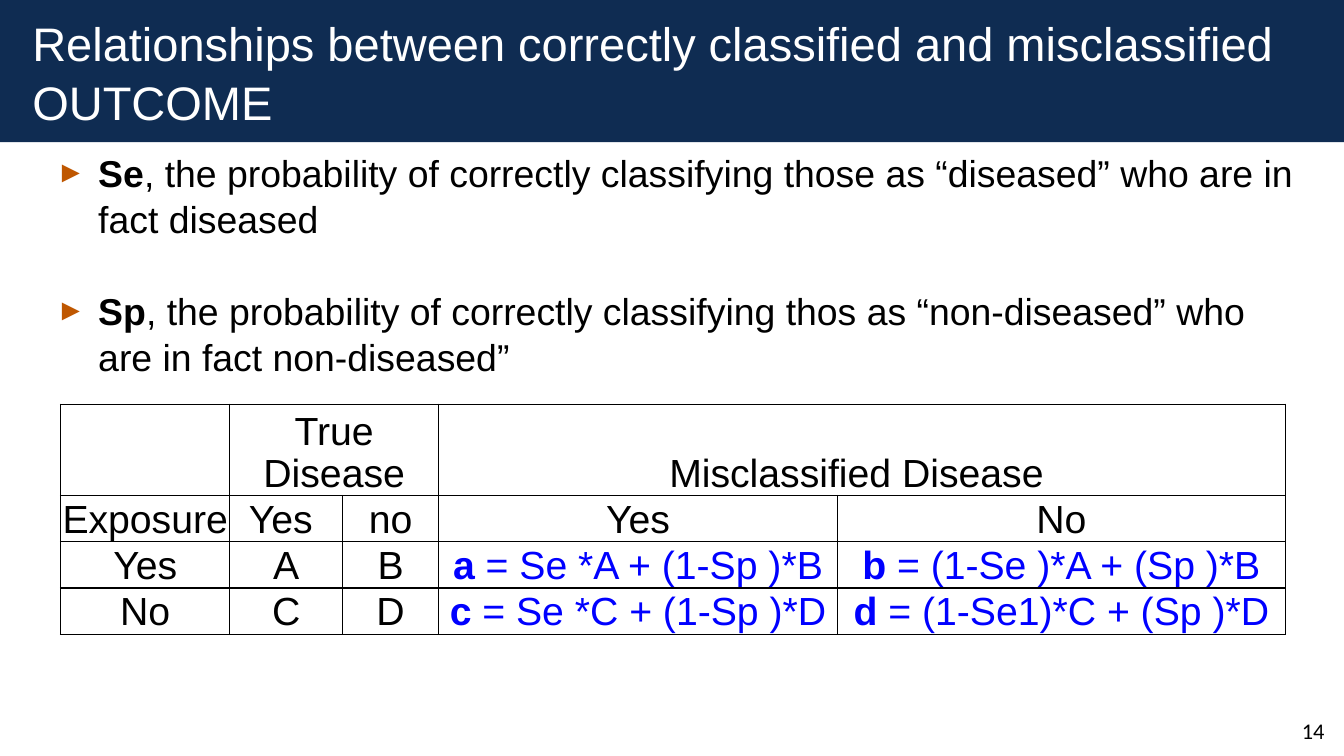
import pptx
import pptx.dml.color
import pptx.enum.shapes
import pptx.enum.text
import pptx.oxml
import pptx.oxml.ns
import pptx.util
from lxml import etree

Pt = pptx.util.Pt
ALIGN = pptx.enum.text.PP_ALIGN
ANCHOR = pptx.enum.text.MSO_ANCHOR
NAVY, ORANGE, BLUE, BLACK, WHITE = "0F2C52", "BF5700", "0000FF", "000000", "FFFFFF"

DEFINITIONS = [
    ("Se", ", the probability of correctly classifying those as “diseased” who are in fact diseased"),
    ("Sp", ", the probability of correctly classifying thos as “non-diseased” who are in fact non-diseased”"),
]
COLUMN_WIDTHS = [121, 80.6, 68.4, 285.1, 319.7]
ROW_HEIGHTS = [62.9, 31.7, 31.7, 31.7]
# A pair is a bold start followed by the plain rest.
ROWS = [
    ["", "True Disease", None, "Misclassified Disease\u00a0", None],
    ["Exposure", "Yes ", "no", "Yes", "No"],
    ["Yes", "A", "B", ("a", " = Se *A + (1-Sp )*B"), ("b", " = (1-Se )*A + (Sp )*B")],
    ["No", "C", "D", ("c ", "= Se *C + (1-Sp )*D"), ("d", " = (1-Se1)*C + (Sp )*D")],
]


def rgb(color):
    return pptx.dml.color.RGBColor.from_string(color)


def write(para, text, size=28, color=BLACK, font="Arial", bold=False):
    span = para.add_run()
    span.text = text
    span.font.size = Pt(size)
    span.font.name = font
    span.font.bold = bold
    span.font.color.rgb = rgb(color)


def add_text_frame(page, box, anchor=ANCHOR.TOP, inset=None):
    frame = page.shapes.add_textbox(*map(Pt, box)).text_frame
    frame.word_wrap = True
    frame.vertical_anchor = anchor
    if inset is not None:
        frame.margin_left = frame.margin_right = Pt(inset)
        frame.margin_top = frame.margin_bottom = Pt(inset)
    return frame


def add_bullet(para, indent):
    """Hang the paragraph on an orange triangle."""
    properties = para._p.get_or_add_pPr()
    properties.set("marL", str(Pt(indent)))
    properties.set("indent", str(-Pt(indent)))
    color = etree.SubElement(properties, pptx.oxml.ns.qn("a:buClr"))
    etree.SubElement(color, pptx.oxml.ns.qn("a:srgbClr"), val=ORANGE)
    etree.SubElement(properties, pptx.oxml.ns.qn("a:buSzPct"), val="80000")
    etree.SubElement(properties, pptx.oxml.ns.qn("a:buFont"), typeface="Arial")
    etree.SubElement(properties, pptx.oxml.ns.qn("a:buChar"), char="►")


def add_header(page, box, text):
    left, top, width, height = box
    band = page.shapes.add_shape(pptx.enum.shapes.MSO_SHAPE.RECTANGLE, *map(Pt, box))
    band.shadow.inherit = False
    band.fill.solid()
    band.fill.fore_color.rgb = rgb(NAVY)
    band.line.fill.background()
    title_box = (left + 16, top + 5.8, width - 30, height - 11.5)
    para = add_text_frame(page, title_box, ANCHOR.MIDDLE).paragraphs[0]
    para.line_spacing = 1.04
    write(para, text, size=33.6, color=WHITE)


def add_definitions(page, box, definitions):
    frame = add_text_frame(page, box)
    for index, (term, meaning) in enumerate(definitions):
        para = frame.add_paragraph() if index else frame.paragraphs[0]
        para.space_before = Pt(32)
        para.line_spacing = 1.04
        add_bullet(para, 30)
        write(para, term, size=26.7, bold=True)
        write(para, meaning, size=26.7)


def add_borders(cell):
    properties = cell._tc.get_or_add_tcPr()
    for index, side in enumerate(("lnL", "lnR", "lnT", "lnB")):
        line = etree.Element(pptx.oxml.ns.qn("a:" + side), w=str(Pt(1)))
        fill = etree.SubElement(line, pptx.oxml.ns.qn("a:solidFill"))
        etree.SubElement(fill, pptx.oxml.ns.qn("a:srgbClr"), val=BLACK)
        properties.insert(index, line)


def fill_cell(cell, content):
    cell.fill.background()
    add_borders(cell)
    cell.vertical_anchor = ANCHOR.BOTTOM
    cell.margin_left = cell.margin_right = cell.margin_top = Pt(0.7)
    cell.margin_bottom = Pt(0)
    para = cell.text_frame.paragraphs[0]
    para.alignment = ALIGN.CENTER
    para.line_spacing = 0.96
    if isinstance(content, tuple):
        write(para, content[0], color=BLUE, bold=True)
        write(para, content[1], color=BLUE)
    elif content:
        write(para, content)


def add_disease_table(page, left, top):
    box = (left, top, sum(COLUMN_WIDTHS), sum(ROW_HEIGHTS))
    table = page.shapes.add_table(len(ROWS), len(COLUMN_WIDTHS), *map(Pt, box)).table
    table.first_row = table.horz_banding = False
    for column, width in zip(table.columns, COLUMN_WIDTHS):
        column.width = Pt(width)
    for row, height, contents in zip(table.rows, ROW_HEIGHTS, ROWS):
        row.height = Pt(height)
        for cell, content in zip(row.cells, contents):
            fill_cell(cell, content)
    for first in (1, 3):
        table.cell(0, first).merge(table.cell(0, first + 1))


def add_page_number(page, box, number):
    para = add_text_frame(page, box, ANCHOR.BOTTOM, inset=0).paragraphs[0]
    para.alignment = ALIGN.RIGHT
    write(para, str(number), size=16, font="Calibri")


def main():
    deck = pptx.Presentation()
    deck.slide_width, deck.slide_height = Pt(960), Pt(540)
    page = deck.slides.add_slide(deck.slide_layouts[6])
    add_header(page, (0, 0, 960, 101.5),
               "Relationships between correctly classified and misclassified OUTCOME")
    add_page_number(page, (887.8, 502.6, 58.3, 28.8), 14)
    add_definitions(page, (33.1, 102.2, 900, 350), DEFINITIONS)
    add_disease_table(page, 43.2, 288.7)
    deck.save("out.pptx")


if __name__ == "__main__":
    main()
